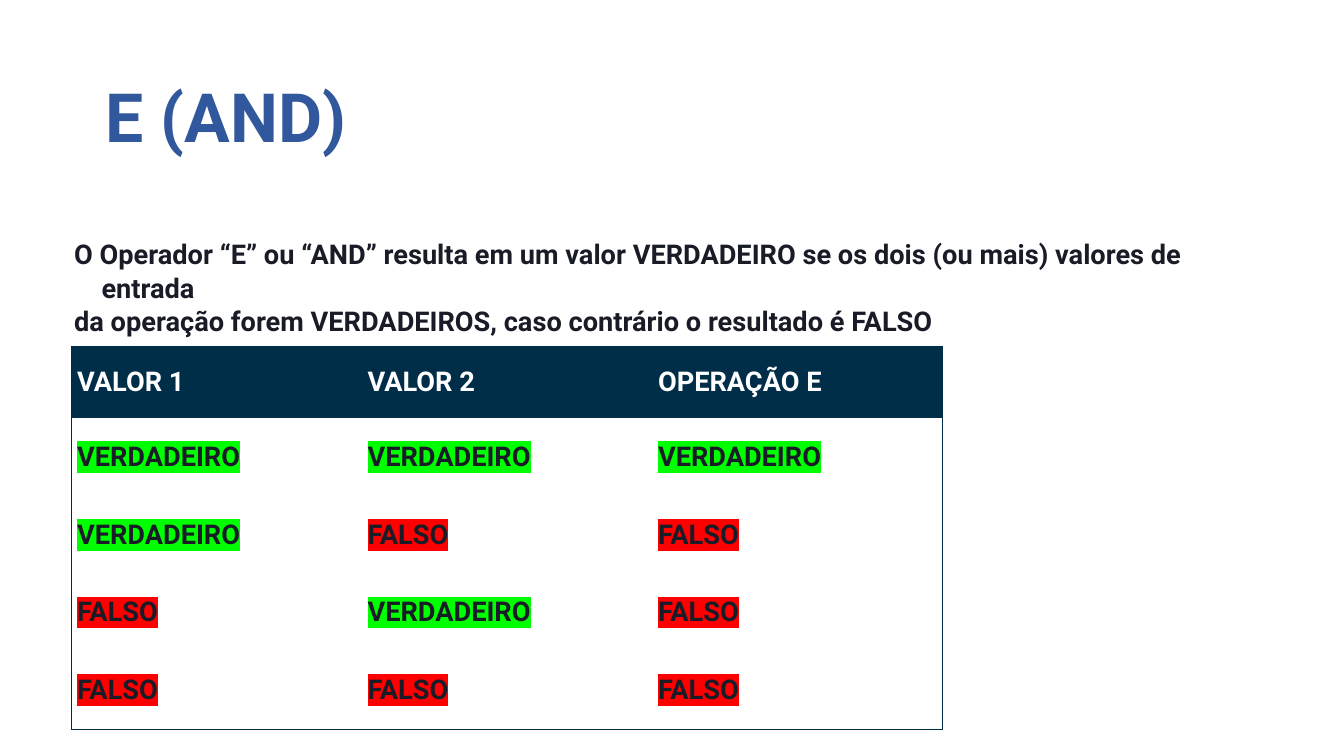
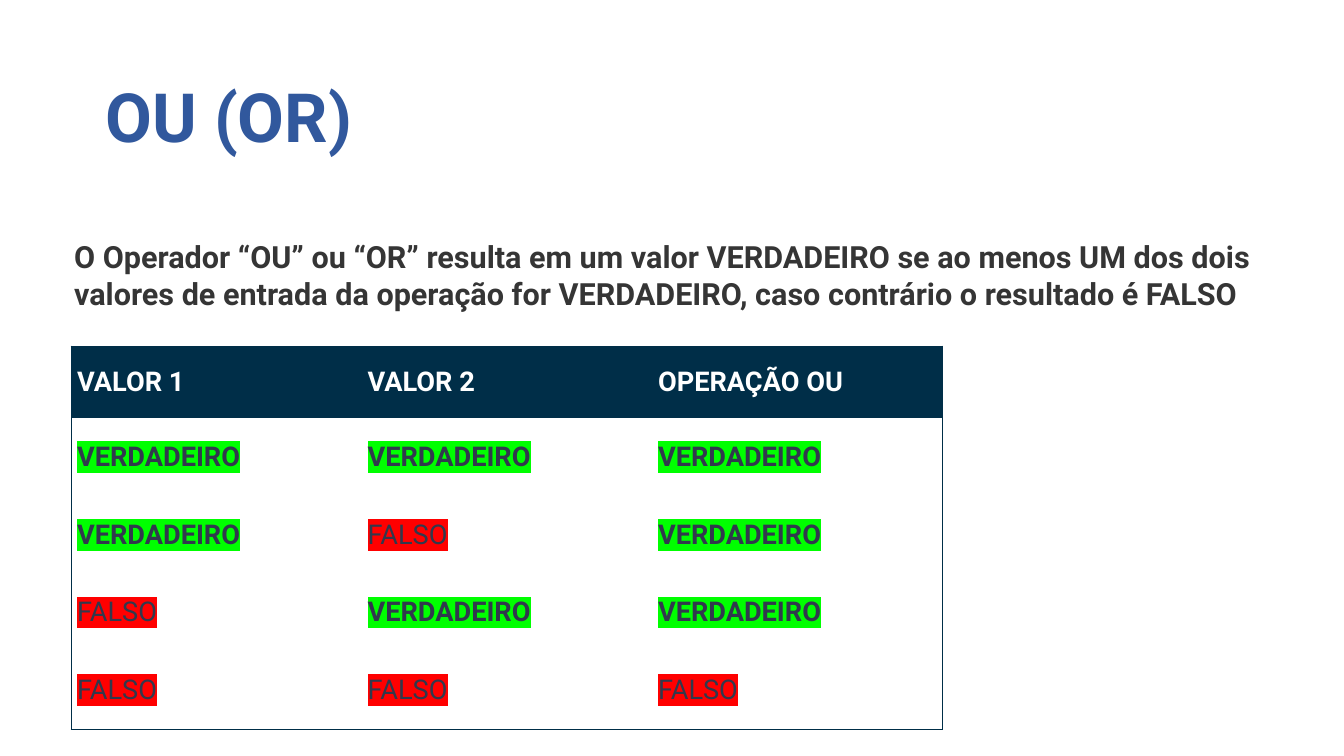
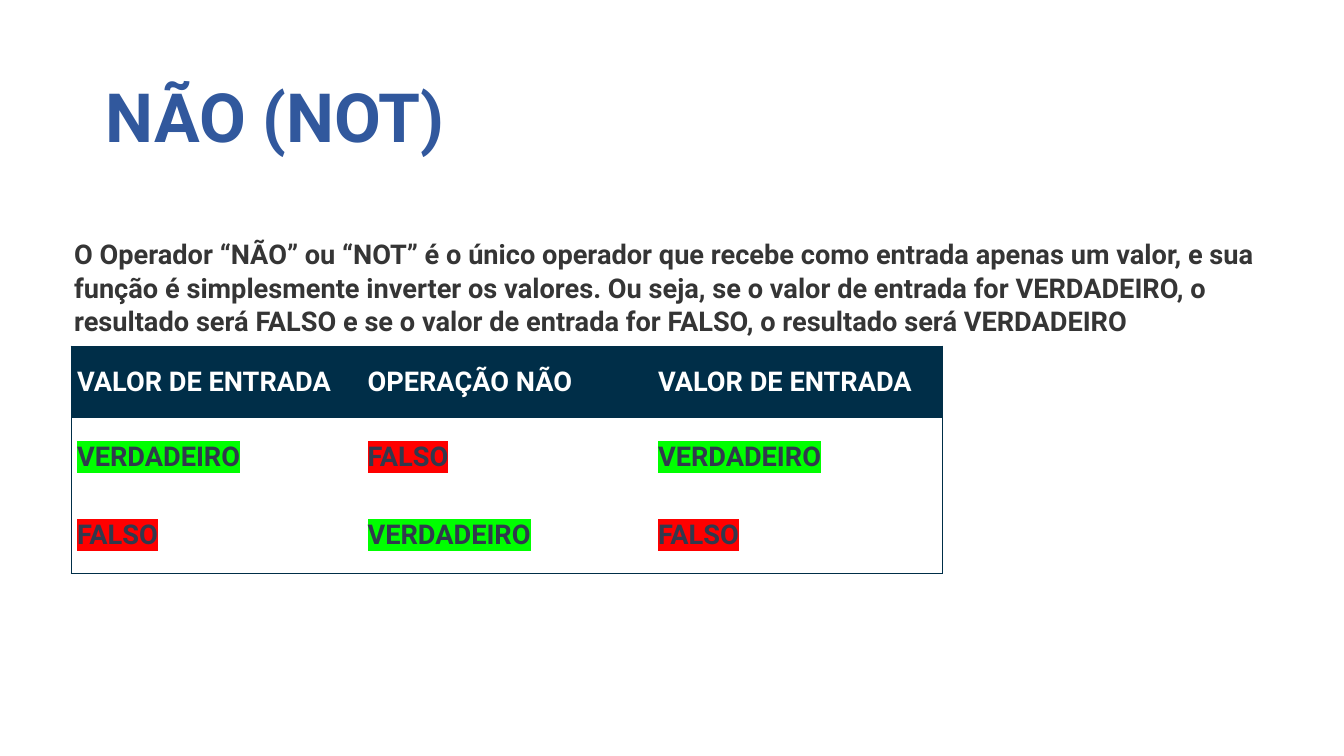
from lxml.etree import SubElement
from pptx import Presentation
from pptx.dml.color import RGBColor
from pptx.enum.text import MSO_ANCHOR
from pptx.oxml.ns import qn
from pptx.util import Cm, Pt

COLORS = {
    "title": "31589D", "ink": "191C26", "gray": "353535", "slate": "31394D",
    "navy": "002E48", "white": "FFFFFF", "true": "00FF00", "false": "FF0000",
}
FONT = "Roboto"
V, F = "VERDADEIRO", "FALSO"


def rgb(name):
    return RGBColor.from_string(COLORS[name])


def write(p, text, size=32, color="ink", bold=True, highlight=None):
    r = p.add_run()
    r.text = text
    font = r.font
    font.size, font.bold = Pt(size), bold
    font.color.rgb = rgb(color)
    if highlight:
        mark = SubElement(font._element, qn("a:highlight"))
        SubElement(mark, qn("a:srgbClr"), val=COLORS[highlight])
    font.name = FONT


def set_borders(cell, **edges):
    """Draw the edges given as true and clear the others."""
    tcPr = cell._tc.get_or_add_tcPr()
    for edge, shown in edges.items():
        ln = SubElement(tcPr, qn(f"a:ln{edge}"), w=str(Pt(0.75)))
        if shown:
            fill = SubElement(ln, qn("a:solidFill"))
            SubElement(fill, qn("a:srgbClr"), val=COLORS["navy"])
        else:
            SubElement(ln, qn("a:noFill"))


class Deck:
    LEFT = Cm(2.95)
    COL_WIDTH = Cm(12.07)
    HEADER_HEIGHT, ROW_HEIGHT = Cm(3), Cm(3.23)

    def __init__(self):
        self.prs = Presentation()
        self.prs.slide_width, self.prs.slide_height = Cm(55.85), Cm(31.42)
        self.s = None

    def new_slide(self):
        self.s = self.prs.slides.add_slide(self.prs.slide_layouts[6])

    def text_box(self, left, top, width, height, inset_top):
        tf = self.s.shapes.add_textbox(left, top, width, height).text_frame
        tf.word_wrap = True
        tf.margin_left = tf.margin_right = tf.margin_bottom = 0
        tf.margin_top = inset_top
        return tf

    def title(self, text):
        tf = self.text_box(Cm(4.39), Cm(2.92), Cm(44.86), Cm(7.52), Cm(0.2))
        write(tf.paragraphs[0], text, size=80, color="title")

    def description(self, lines, size, color):
        height = Cm(0.13 + 0.043 * size * len(lines))
        tf = self.text_box(self.LEFT, Cm(9.7), Cm(49.73), height, Cm(0.13))
        for i, line in enumerate(lines):
            p = tf.paragraphs[0] if i == 0 else tf.add_paragraph()
            p.line_spacing = 1.03
            pPr = p._p.get_or_add_pPr()
            pPr.set("marL", str(Cm(1.27)))
            pPr.set("indent", str(-Cm(1.14)))
            write(p, line, size=size, color=color)

    def truth_table(self, header, rows, color, bold_false):
        n_rows, n_cols = len(rows) + 1, len(header)
        height = self.HEADER_HEIGHT + self.ROW_HEIGHT * len(rows)
        table = self.s.shapes.add_table(
            n_rows, n_cols, self.LEFT, Cm(14.38), self.COL_WIDTH * n_cols, height).table
        table.horz_banding = False
        for col in table.columns:
            col.width = self.COL_WIDTH
        for i, values in enumerate([header, *rows]):
            table.rows[i].height = self.ROW_HEIGHT if i else self.HEADER_HEIGHT
            for j, value in enumerate(values):
                cell = table.cell(i, j)
                cell.vertical_anchor = MSO_ANCHOR.MIDDLE
                set_borders(cell, L=j == 0, R=j == n_cols - 1,
                            T=i == 0, B=i == n_rows - 1)
                cell.fill.solid()
                cell.fill.fore_color.rgb = rgb("white" if i else "navy")
                p = cell.text_frame.paragraphs[0]
                if i == 0:
                    write(p, value, color="white")
                else:
                    write(p, value, color=color, bold=value == V or bold_false,
                          highlight="true" if value == V else "false")


SLIDES = [
    dict(
        title="E (AND)", size=32, color="ink", cell_color="ink", bold_false=True,
        lines=["O Operador “E” ou “AND” resulta em um valor VERDADEIRO se os dois (ou mais) valores de entrada",
               "da operação forem VERDADEIROS, caso contrário o resultado é FALSO"],
        header=["VALOR 1", "VALOR 2", "OPERAÇÃO E"],
        rows=[(V, V, V), (V, F, F), (F, V, F), (F, F, F)],
    ),
    dict(
        title="OU (OR)", size=36, color="gray", cell_color="slate", bold_false=False,
        lines=["O Operador “OU” ou “OR” resulta em um valor VERDADEIRO se ao menos UM dos dois",
               "valores de entrada da operação for VERDADEIRO, caso contrário o resultado é FALSO"],
        header=["VALOR 1", "VALOR 2", "OPERAÇÃO OU"],
        rows=[(V, V, V), (V, F, V), (F, V, V), (F, F, F)],
    ),
    dict(
        title="NÃO (NOT)", size=32, color="gray", cell_color="slate", bold_false=True,
        lines=["O Operador “NÃO” ou “NOT” é o único operador que recebe como entrada apenas um valor, e sua",
               "função é simplesmente inverter os valores. Ou seja, se o valor de entrada for VERDADEIRO, o",
               "resultado será FALSO e se o valor de entrada for FALSO, o resultado será VERDADEIRO"],
        header=["VALOR DE ENTRADA", "OPERAÇÃO NÃO", "VALOR DE ENTRADA"],
        rows=[(V, F, V), (F, V, F)],
    ),
]


def main():
    deck = Deck()
    for d in SLIDES:
        deck.new_slide()
        deck.title(d["title"])
        deck.description(d["lines"], d["size"], d["color"])
        deck.truth_table(d["header"], d["rows"], d["cell_color"], d["bold_false"])
    deck.prs.save("out.pptx")


if __name__ == "__main__":
    main()
